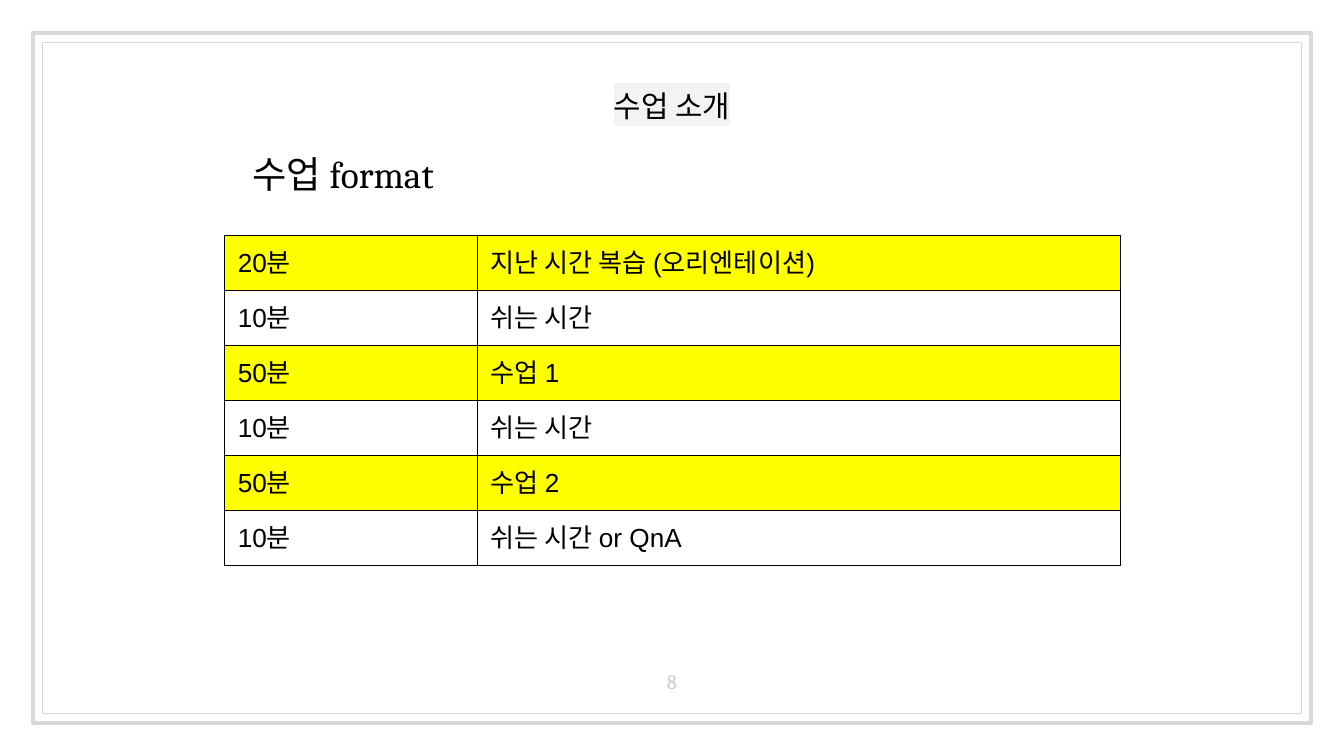
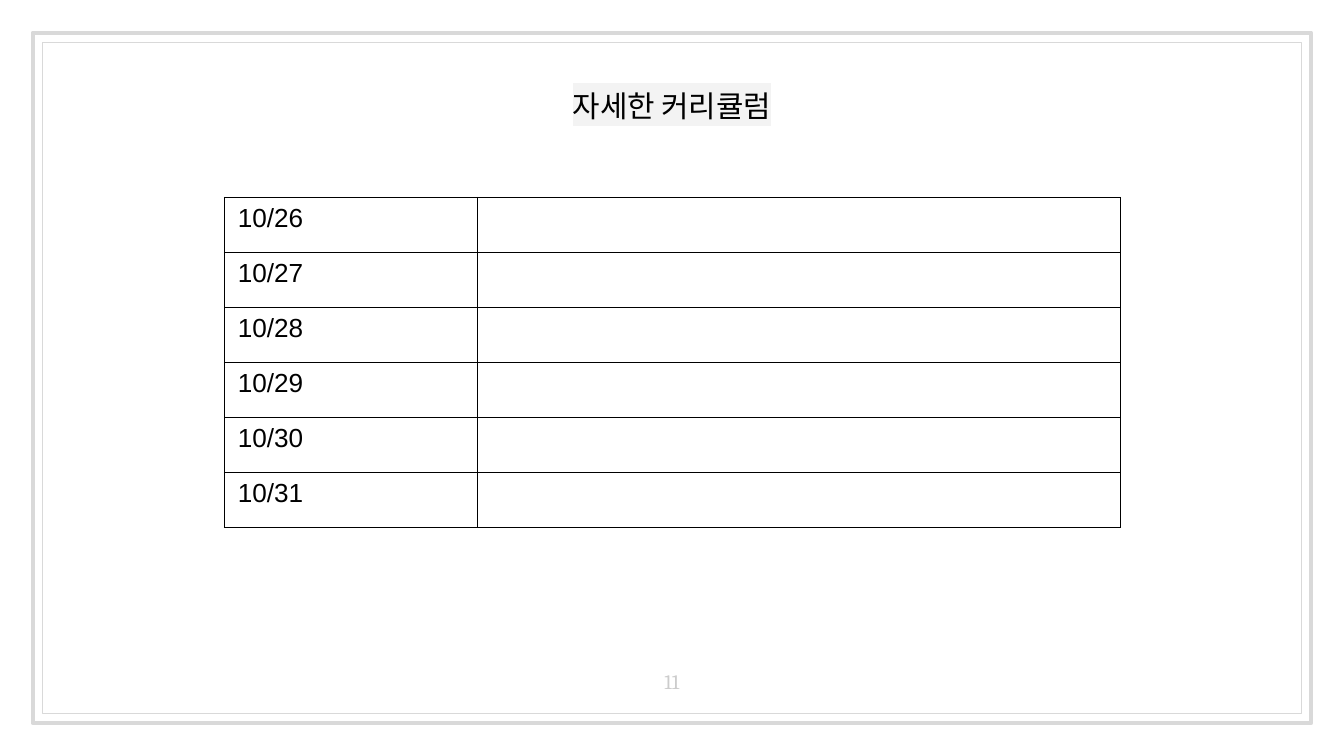
from lxml.etree import SubElement
from pptx import Presentation
from pptx.dml.color import RGBColor
from pptx.enum.shapes import MSO_SHAPE
from pptx.enum.text import MSO_ANCHOR, MSO_AUTO_SIZE, PP_ALIGN
from pptx.oxml.ns import qn
from pptx.util import Cm, Pt

COLORS = {
    "ink": "000000",
    "frame": "D9D9D9",
    "number": "CCCCCC",
    "highlight": "F3F3F3",
    "lesson": "FFFF00",
}
WIDTH, HEIGHT = 25.4, 14.29
TITLE_ONLY, TITLE_AND_BODY = 5, 1
TABLE_LEFT, COLUMNS, ROW_HEIGHT = 4.24, (4.78, 12.15), 1.04


def rgb(name):
    return RGBColor.from_string(COLORS[name])


def write(tf, text, font="Arial", size=14, color="ink", align=None, highlight=None):
    """Put one formatted run in the first paragraph and return the paragraph."""
    p = tf.paragraphs[0]
    p.alignment = align
    r = p.add_run()
    r.text = text
    r.font.name = font
    r.font.size = Pt(size)
    r.font.color.rgb = rgb(color)
    if highlight:
        r_pr = r.font._element
        mark = SubElement(r_pr, qn("a:highlight"))
        SubElement(mark, qn("a:srgbClr"), val=COLORS[highlight])
        r_pr.find(qn("a:latin")).addprevious(mark)
    return p


def add_borders(cell, color="ink", width=0.75):
    tc_pr = cell._tc.get_or_add_tcPr()
    for side in ("lnL", "lnR", "lnT", "lnB"):
        line = SubElement(tc_pr, qn(f"a:{side}"), w=str(Pt(width)))
        fill = SubElement(line, qn("a:solidFill"))
        SubElement(fill, qn("a:srgbClr"), val=COLORS[color])


class Deck:
    def __init__(self):
        self.prs = Presentation()
        self.prs.slide_width, self.prs.slide_height = Cm(WIDTH), Cm(HEIGHT)
        self.s = None

    def new_slide(self, title, number, layout=TITLE_ONLY):
        self.s = self.prs.slides.add_slide(self.prs.slide_layouts[layout])
        self.frame(0.62, 2.25)
        self.frame(0.8, 0.75)
        tf = self.prepare(self.s.shapes.title, 1.09, 0.94, 23.22, 2.11)
        write(tf, title, "TeX Gyre Pagella", 16, align=PP_ALIGN.CENTER,
              highlight="highlight")
        self.page_number(number)

    def prepare(self, sp, left, top, width, height, anchor=MSO_ANCHOR.MIDDLE):
        """Place a text shape and give its frame the common settings."""
        sp.left, sp.top, sp.width, sp.height = map(Cm, (left, top, width, height))
        tf = sp.text_frame
        tf.word_wrap = True
        tf.auto_size = MSO_AUTO_SIZE.NONE
        tf.vertical_anchor = anchor
        tf.margin_left = tf.margin_right = tf.margin_top = tf.margin_bottom = Cm(0.25)
        return tf

    def frame(self, inset, line_width):
        sp = self.s.shapes.add_shape(
            MSO_SHAPE.RECTANGLE, Cm(inset), Cm(inset),
            Cm(WIDTH - 2 * inset), Cm(HEIGHT - 2 * inset))
        sp.shadow.inherit = False
        sp.fill.background()
        sp.line.color.rgb = rgb("frame")
        sp.line.width = Pt(line_width)

    def page_number(self, number):
        width = 1.52
        box = self.s.shapes.add_textbox(0, 0, 0, 0)
        tf = self.prepare(box, (WIDTH - width) / 2, 12.27, width, 1.09,
                          MSO_ANCHOR.BOTTOM)
        write(tf, str(number), "Cambria", 11, "number", PP_ALIGN.CENTER)

    def body(self, text):
        tf = self.prepare(self.s.placeholders[1], 4.24, 2.11, 10.62, 2.34)
        p = write(tf, text, "Cambria", 20)
        p.space_before = Pt(6)
        p_pr = p._p.get_or_add_pPr()
        p_pr.set("marL", str(Cm(0.28)))
        p_pr.set("indent", "0")
        SubElement(p_pr, qn("a:buNone"))

    def table(self, top, rows, filled=()):
        table = self.s.shapes.add_table(
            len(rows), len(COLUMNS), Cm(TABLE_LEFT), Cm(top),
            Cm(sum(COLUMNS)), Cm(ROW_HEIGHT * len(rows))).table
        table.first_row = table.horz_banding = False
        for column, width in zip(table.columns, COLUMNS):
            column.width = Cm(width)
        for i, row in enumerate(rows):
            table.rows[i].height = Cm(ROW_HEIGHT)
            for j, text in enumerate(row):
                cell = table.cell(i, j)
                add_borders(cell)
                if i in filled:
                    cell.fill.solid()
                    cell.fill.fore_color.rgb = rgb("lesson")
                else:
                    cell.fill.background()
                if text:
                    write(cell.text_frame, text)


def main():
    deck = Deck()

    deck.new_slide("수업 소개", 8, TITLE_AND_BODY)
    schedule = [
        ("20분", "지난 시간 복습 (오리엔테이션)"),
        ("10분", "쉬는 시간"),
        ("50분", "수업 1"),
        ("10분", "쉬는 시간"),
        ("50분", "수업 2"),
        ("10분", "쉬는 시간 or QnA"),
    ]
    deck.table(4.45, schedule, filled=range(0, len(schedule), 2))
    deck.body("수업 format")

    deck.new_slide("자세한 커리큘럼", 11)
    deck.table(3.73, [(f"10/{day}", "") for day in range(26, 32)])

    deck.prs.save("out.pptx")


if __name__ == "__main__":
    main()
